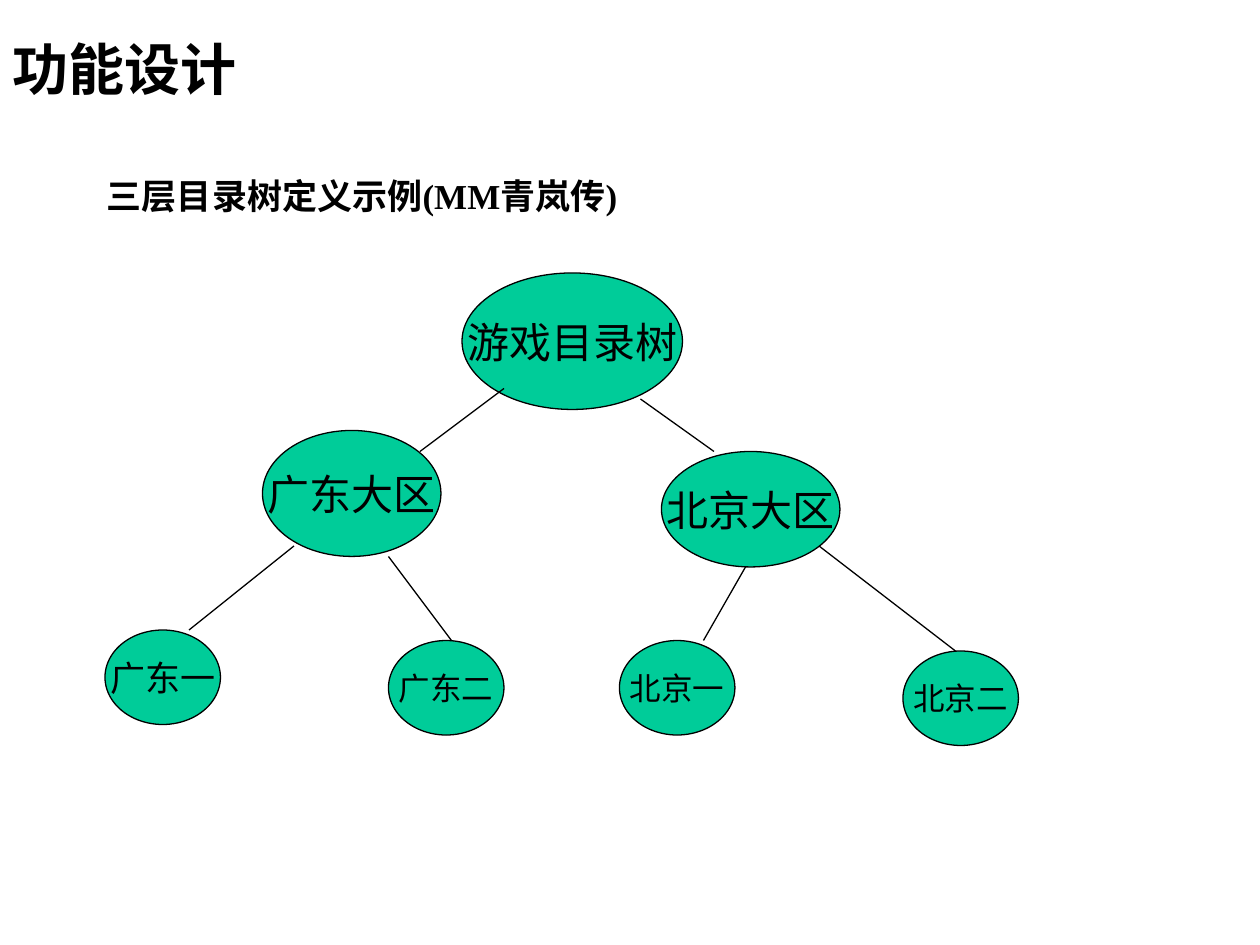
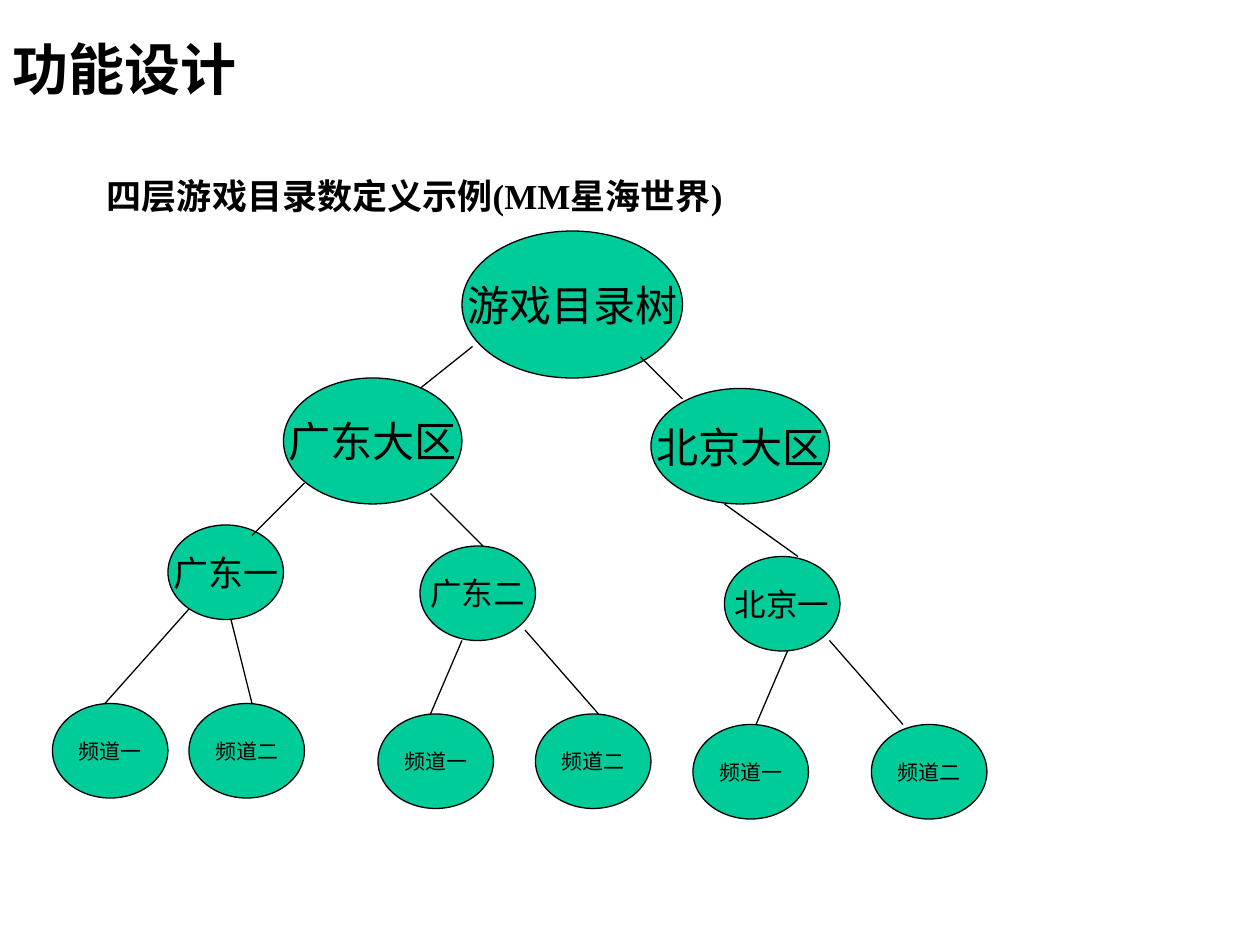
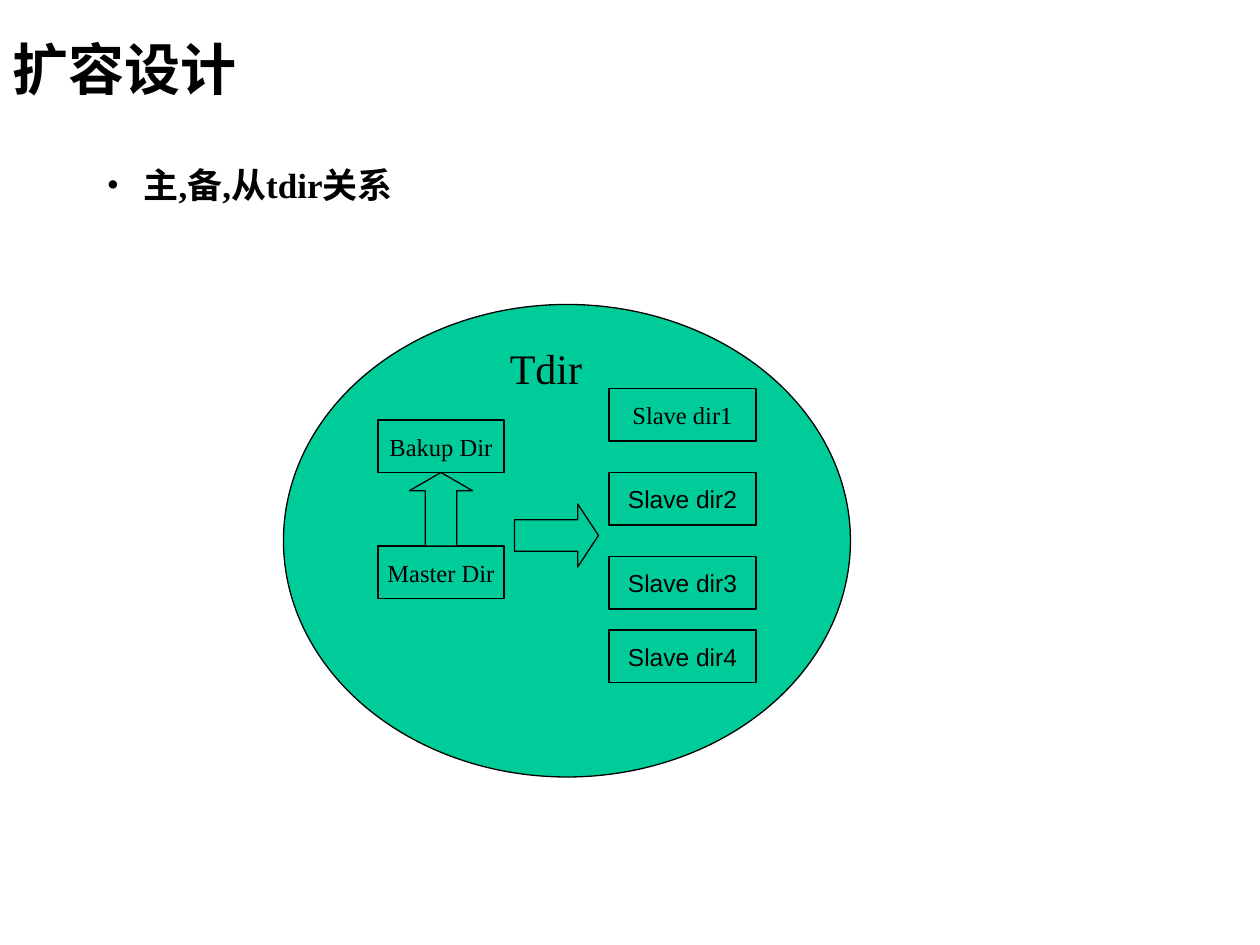
from lxml.etree import SubElement
from pptx import Presentation
from pptx.dml.color import RGBColor
from pptx.enum.shapes import MSO_CONNECTOR as Link, MSO_SHAPE as Kind
from pptx.enum.text import MSO_ANCHOR as Anchor, PP_ALIGN as Align
from pptx.oxml.ns import qn
from pptx.util import Inches, Pt

# Shared look: a grid of 120 columns by 90 rows
BLACK, GREEN = "000000", "00CC99"
SERIF, SANS = "Times New Roman", "Arial"
CELL = Inches(10) // 120

deck = Presentation()
deck.slide_width, deck.slide_height = 120 * CELL, 90 * CELL


def color(code):
    return RGBColor.from_string(code)


def write(shape, text, size, face=SERIF, bold=False):
    """Add one run to the first paragraph of a shape."""
    run = shape.text_frame.paragraphs[0].add_run()
    run.text = text
    run.font.name, run.font.size, run.font.bold = face, Pt(size), bold
    run.font.color.rgb = color(BLACK)


# Titles and headings: title, heading, bullet, heading box
heads = [
    ("功能设计", "三层目录树定义示例(MM青岚传)", False, (9, 16, 104, 64)),
    ("功能设计", "四层游戏目录数定义示例(MM星海世界)", False, (9, 16, 104, 64)),
    ("扩容设计", "主,备,从tdir关系", True, (9, 15, 99, 58)),
]
slides = []
for title, head, dot, area in heads:
    slide = deck.slides.add_slide(deck.slide_layouts[6])
    slides.append(slide)
    for text, size, box in ((title, 32, (0, 1, 79, 11)), (head, 20, area)):
        label = slide.shapes.add_textbox(*[n * CELL for n in box])
        label.text_frame.word_wrap = True
        if text == title:
            label.text_frame.vertical_anchor = Anchor.MIDDLE
        elif dot:
            props = label.text_frame.paragraphs[0]._p.get_or_add_pPr()
            props.set("marL", str(Inches(0.29)))
            props.set("indent", str(-Inches(0.29)))
            SubElement(props, qn("a:buFont"), typeface=SERIF)
            SubElement(props, qn("a:buChar"), char="•")
        write(label, text, size, bold=True)

# Node styles: width, height, text size, font
ROOT, TALL = (21, 13, 24, SERIF), (21, 14, 24, SERIF)
SOUTH, NORTH = (17, 12, 24, SERIF), (17, 11, 24, SERIF)
FIRST, LEAF, LAST = (11, 9, 20, SERIF), (11, 9, 18, SANS), (11, 9, 18, SERIF)
TINY = (11, 9, 12, SERIF)
BOX, SLAVE1, SLAVE = (12, 5, 14, SERIF), (14, 5, 14, SERIF), (14, 5, 14, SANS)

# Nodes: label, column, row, style
three = [
    ("游戏目录树", 44, 26, ROOT),
    ("广东大区", 25, 41, SOUTH), ("北京大区", 63, 43, NORTH),
    ("广东一", 10, 60, FIRST), ("广东二", 37, 61, LEAF),
    ("北京一", 59, 61, LEAF), ("北京二", 86, 62, LAST),
]
four = [
    ("游戏目录树", 44, 22, TALL),
    ("广东大区", 27, 36, SOUTH), ("北京大区", 62, 37, NORTH),
    ("广东一", 16, 50, FIRST), ("广东二", 40, 52, LEAF), ("北京一", 69, 53, LEAF),
]
for row, pair in ((67, (5, 18)), (68, (36, 51)), (69, (66, 83))):
    for name, col in zip(("频道一", "频道二"), pair):
        four.append((name, col, row, TINY))
dirs = [
    ("", 27, 29, (54, 45, 24, SERIF)),
    ("Tdir ", 45, 31, (15, 8, 24, SERIF)),
    ("Bakup Dir", 36, 40, BOX), ("Master Dir", 36, 52, BOX),
]
for i, row in enumerate((37, 45, 53, 60), 1):
    dirs.append((f"Slave dir{i}", 58, row, SLAVE1 if i == 1 else SLAVE))
arrows = [
    (Kind.RIGHT_ARROW, 49, 48, (8, 6), 0.33),
    (Kind.UP_ARROW, 39, 45, (6, 7), 0.29),
]

# Draw the nodes and the arrows
for slide, nodes in zip(slides, (three, four, dirs + arrows)):
    for node in nodes:
        name, col, row, style = node[:4]
        arrow = len(node) == 5
        if arrow:
            kind = name
        else:
            kind = Kind.RECTANGLE if nodes[0][0] == "" and name else Kind.OVAL
        shape = slide.shapes.add_shape(
            kind, col * CELL, row * CELL, style[0] * CELL, style[1] * CELL)
        shape.shadow.inherit = False
        shape.fill.solid()
        shape.fill.fore_color.rgb = color(GREEN)
        if name == "Tdir ":
            shape.line.fill.background()
        else:
            shape.line.color.rgb = color(BLACK)
            shape.line.width = Pt(0.75)
        if arrow:
            shape.adjustments[1] = node[4]
        elif name:
            frame = shape.text_frame
            frame.word_wrap = False
            frame.vertical_anchor = Anchor.MIDDLE
            frame.paragraphs[0].alignment = Align.CENTER
            write(shape, name, *style[2:])

# Branches: start column and row, end column and row
twigs = [
    [(48, 37, 40, 43), (28, 52, 18, 60), (37, 53, 43, 61),
     (61, 38, 68, 43), (71, 54, 67, 61), (78, 52, 91, 62)],
    [(45, 33, 40, 37), (29, 46, 24, 51), (18, 58, 10, 67), (22, 59, 24, 67),
     (41, 47, 46, 52), (44, 61, 41, 68), (50, 60, 57, 68), (61, 34, 65, 38),
     (69, 48, 76, 53), (75, 62, 72, 69), (79, 61, 86, 69)],
]
for slide, ends in zip(slides, twigs):
    for end in ends:
        line = slide.shapes.add_connector(Link.STRAIGHT, *[n * CELL for n in end])
        line.line.color.rgb = color(BLACK)
        line.line.width = Pt(0.75)
        SubElement(line._element.spPr, qn("a:effectLst"))

deck.save("out.pptx")
